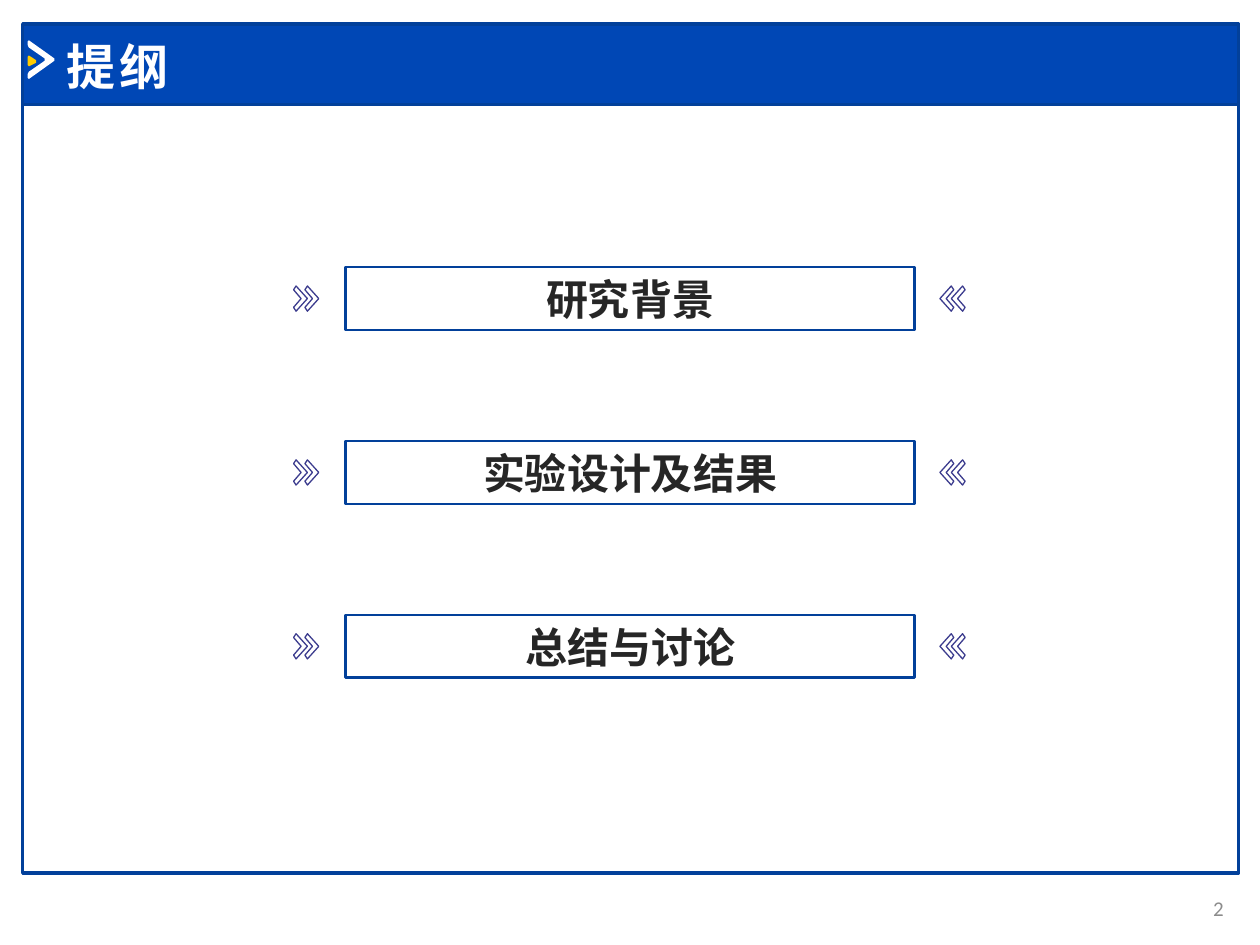
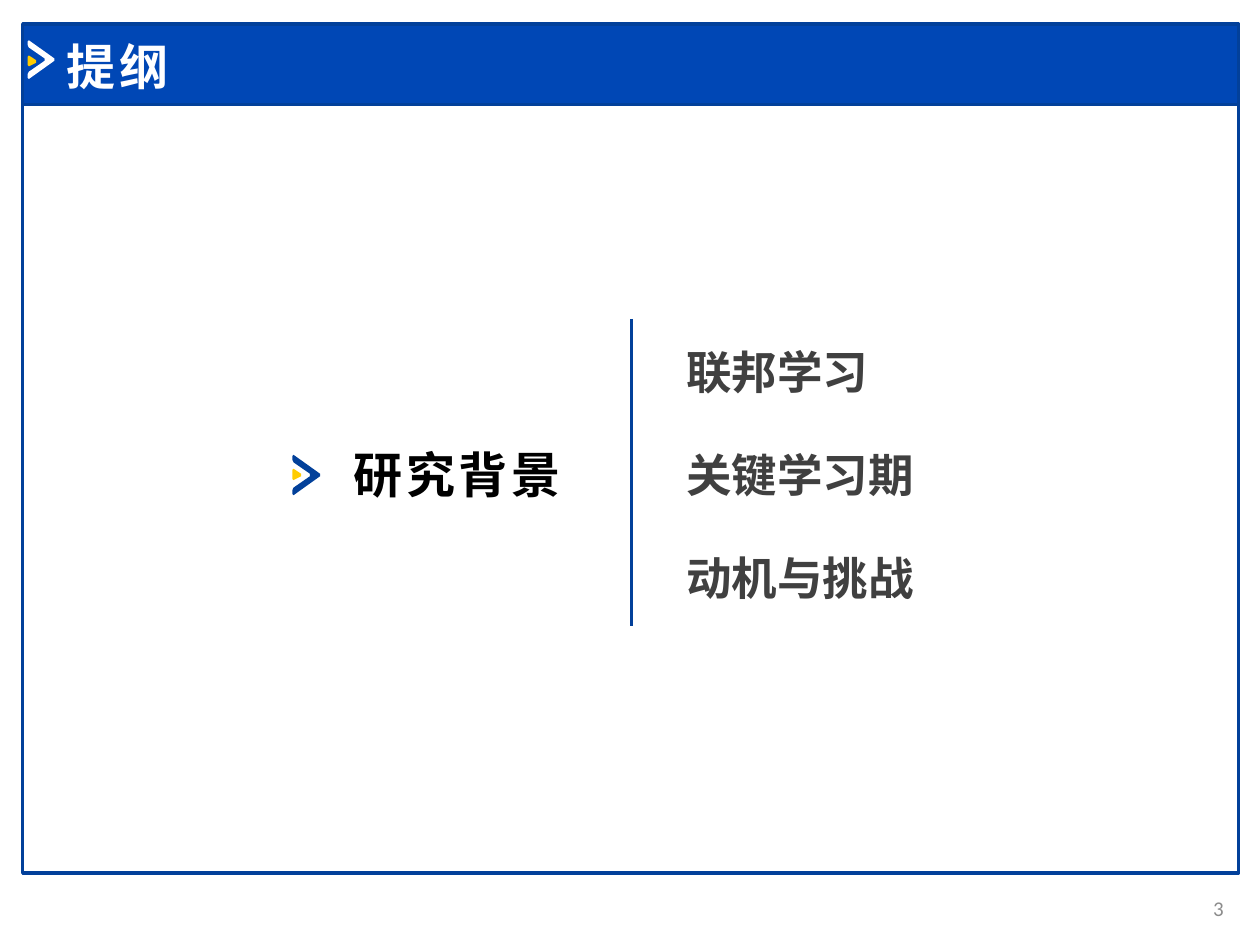
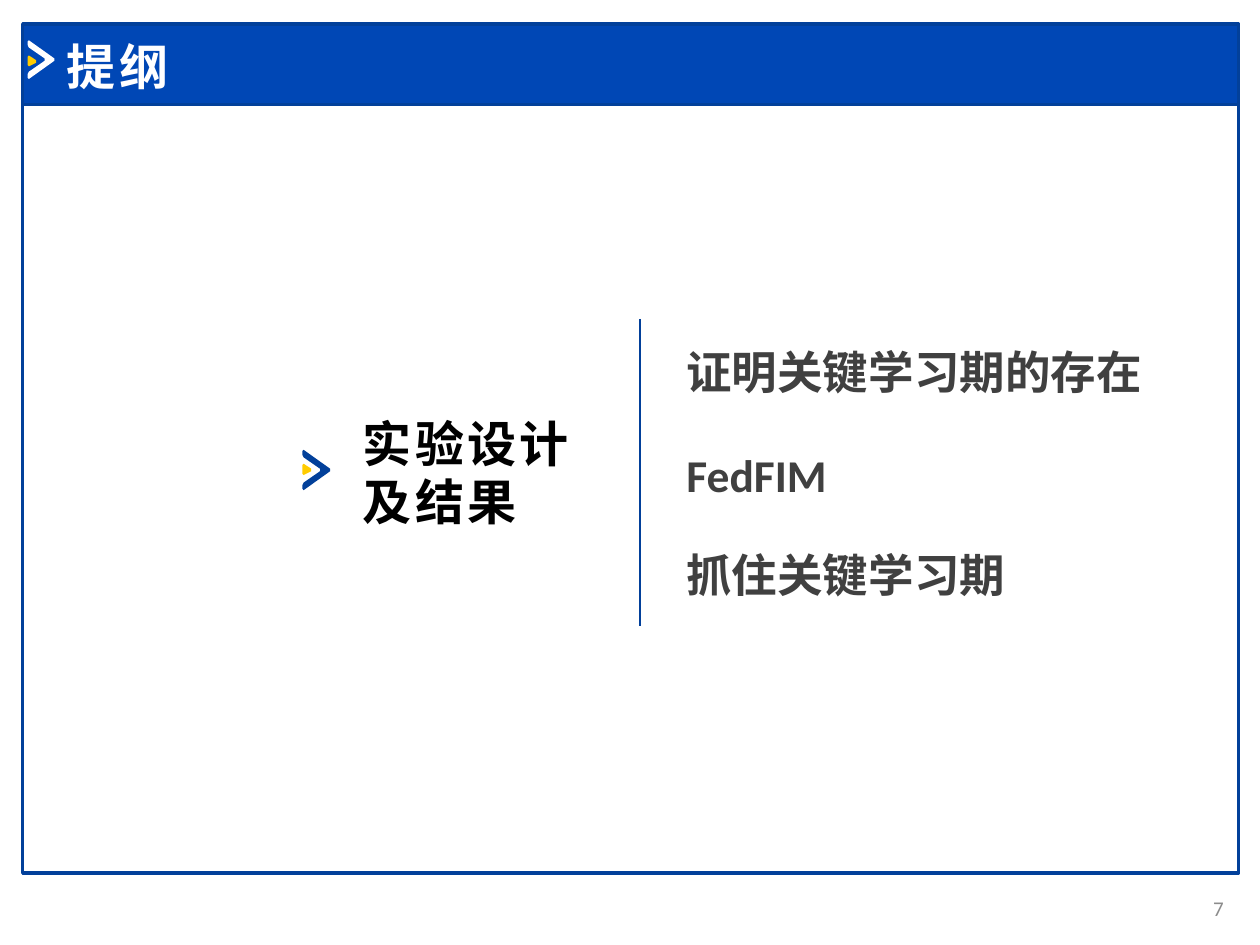
from pptx import Presentation
from pptx.dml.color import RGBColor
from pptx.enum.shapes import MSO_CONNECTOR as CONNECTOR, MSO_SHAPE as SHAPE
from pptx.enum.text import MSO_ANCHOR as ANCHOR, MSO_AUTO_SIZE as AUTO_SIZE, PP_ALIGN as ALIGN
from pptx.oxml.ns import qn
from pptx.util import Inches, Pt
from lxml.etree import SubElement

COLORS = {
    "band": "0047B5",
    "frame": "02409A",
    "accent": "FFCC00",
    "chevron": "3C3C8E",
    "white": "FFFFFF",
    "black": "000000",
    "agenda": "262626",
    "topic": "404040",
    "number": "8C8C8C",
}
COLORS = {name: RGBColor.from_string(value) for name, value in COLORS.items()}
CJK_FONT = "Noto Sans CJK SC"

ARROW = [(0.01, 0), (0, 0.01), (0, 0.04), (0.01, 0.06), (0.14, 0.15), (0.14, 0.17),
         (0.01, 0.26), (0, 0.28), (0, 0.31), (0.01, 0.32), (0.22, 0.17), (0.22, 0.15)]
ARROW_TIP = [(0.01, 0), (0, 0.01), (0, 0.08), (0.01, 0.09), (0.07, 0.06), (0.07, 0.04)]
CHEVRON = [(0.02, 0), (0, 0.03), (0.06, 0.1), (0, 0.17), (0.02, 0.2), (0.11, 0.1)]


def write(shape, text, size, color, font="Calibri", bold=True, align=ALIGN.LEFT,
          anchor=ANCHOR.TOP, spacing=0):
    frame = shape.text_frame
    frame.word_wrap = True
    frame.auto_size = AUTO_SIZE.NONE
    frame.vertical_anchor = anchor
    paragraph = frame.paragraphs[0]
    paragraph.alignment = align
    run = paragraph.add_run()
    run.text = text
    run.font.size = Pt(size)
    run.font.bold = bold
    run.font.name = font
    run.font.color.rgb = COLORS[color]
    properties = run._r.get_or_add_rPr()
    properties.set("spc", str(spacing * 100))
    SubElement(properties, qn("a:ea"), typeface=CJK_FONT)


def outline(slide, points, left, top, fill=None, line=None, stretch=(1, 1)):
    corners = [(Inches(left + x * stretch[0]), Inches(top + y * stretch[1])) for x, y in points]
    builder = slide.shapes.build_freeform(*corners[0])
    builder.add_line_segments(corners[1:], close=True)
    shape = builder.convert_to_shape()
    shape.shadow.inherit = False
    if fill:
        shape.fill.solid()
        shape.fill.fore_color.rgb = COLORS[fill]
    else:
        shape.fill.background()
    if line:
        shape.line.color.rgb = COLORS[line]
        shape.line.width = Pt(0.75)
    else:
        shape.line.fill.background()
    return shape


deck = Presentation()
deck.slide_width, deck.slide_height = Inches(10), Inches(7.5)
layout = deck.slide_layouts[5]
for placeholder in list(layout.placeholders):
    if placeholder.placeholder_format.idx:
        placeholder.element.getparent().remove(placeholder.element)
layout_title = layout.placeholders[0]
layout_title.left, layout_title.top = Inches(0.43), Inches(0.24)
layout_title.width, layout_title.height = Inches(8.28), Inches(0.57)

slides = []
for page in ("2", "3", "7"):
    slide = deck.slides.add_slide(layout)
    write(slide.shapes.title, "提纲", 28, "white", anchor=ANCHOR.MIDDLE, spacing=2)
    page_number = slide.shapes.add_textbox(Inches(9.22), Inches(7.01), Inches(0.59), Inches(0.4))
    write(page_number, page, 12, "number", bold=False, align=ALIGN.RIGHT, anchor=ANCHOR.MIDDLE)
    slides.append(slide)
agenda, *sections = slides

backdrop = []
for top, height, fill in ((0.83, 6.1, None), (0.19, 0.64, "band")):
    panel = agenda.shapes.add_shape(SHAPE.RECTANGLE, Inches(0.18), Inches(top), Inches(9.65), Inches(height))
    panel.shadow.inherit = False
    panel.line.color.rgb = COLORS["frame"]
    panel.line.width = Pt(2)
    if fill:
        panel.fill.solid()
        panel.fill.fore_color.rgb = COLORS[fill]
    else:
        panel.fill.background()
    backdrop.append(panel)
backdrop.append(outline(agenda, ARROW, 0.22, 0.32, fill="white", stretch=(0.96, 0.96)))
backdrop.append(outline(agenda, ARROW_TIP, 0.22, 0.44, fill="accent", stretch=(0.96, 0.96)))
for position, part in enumerate(backdrop, start=2):
    layout_title.element.getparent().insert(position, part.element)

for row, heading in enumerate(("研究背景", "实验设计及结果", "总结与讨论")):
    top = 2.12 + 1.38 * row
    entry = agenda.shapes.add_shape(SHAPE.RECTANGLE, Inches(2.74), Inches(top), Inches(4.52), Inches(0.5))
    entry.shadow.inherit = False
    entry.fill.background()
    entry.line.color.rgb = COLORS["frame"]
    entry.line.width = Pt(1.5)
    write(entry, heading, 24, "agenda", font=CJK_FONT, align=ALIGN.CENTER)
    for left, direction in ((2.33, 1), (2.42, 1), (7.66, -1), (7.57, -1)):
        outline(agenda, CHEVRON, left, top + 0.15, line="chevron", stretch=(direction, 1))

section_contents = [
    ("研究背景", 2.71, 3.48, 0.57, 2.32, 3.61, 5.01,
     (("联邦学习", 2.68), ("关键学习期", 3.5), ("动机与挑战", 4.32))),
    ("实验设计及结果", 2.78, 3.23, 1.04, 2.4, 3.57, 5.08,
     (("证明关键学习期的存在", 2.68), ("FedFIM", 3.5), ("抓住关键学习期", 4.29))),
]
for slide, content in zip(sections, section_contents):
    heading, left, top, height, arrow_left, arrow_top, divider_x, topics = content
    section_name = slide.shapes.add_textbox(Inches(left), Inches(top), Inches(2.15), Inches(height))
    write(section_name, heading, 28, "black", font=CJK_FONT, spacing=2)
    outline(slide, ARROW, arrow_left, arrow_top, fill="frame")
    outline(slide, ARROW_TIP, arrow_left, arrow_top + 0.11, fill="accent")
    divider = slide.shapes.add_connector(
        CONNECTOR.STRAIGHT, Inches(divider_x), Inches(2.53), Inches(divider_x), Inches(4.97))
    divider.line.color.rgb = COLORS["frame"]
    divider.line.width = Pt(1.5)
    SubElement(divider.element.spPr, qn("a:effectLst"))
    for topic, topic_top in topics:
        topic_label = slide.shapes.add_textbox(Inches(5.35), Inches(topic_top), Inches(4.34), Inches(0.54))
        write(topic_label, topic, 26, "topic")

deck.save("out.pptx")
